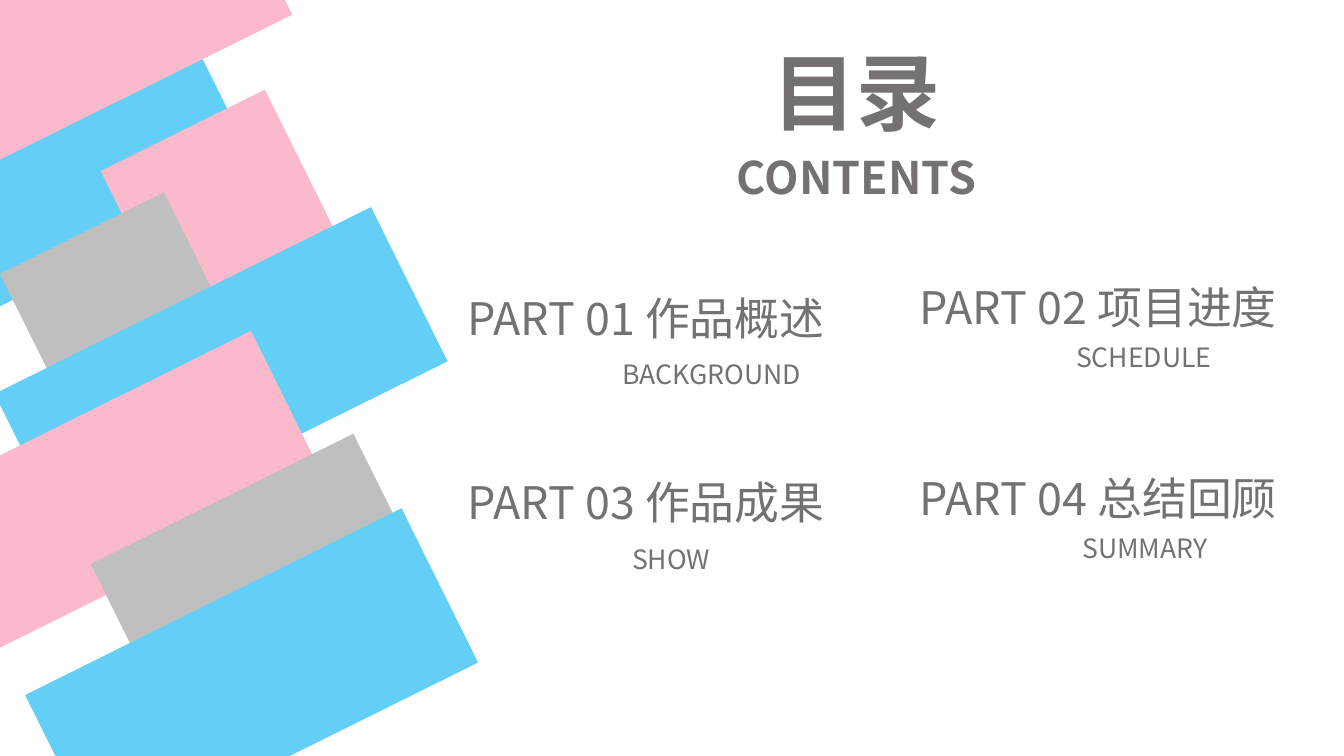
from pptx import Presentation
from pptx.dml.color import RGBColor
from pptx.enum import shapes, text
from pptx.util import Cm, Pt

HUES = {"blue": "63CFF6", "pink": "FBB9CC", "gray": "BFBFBF", "ink": "767171"}
FONT = "Noto Sans CJK SC"
BARS = [
    (-1.3, -0.43, 10.59, "blue"),
    (3.4, 2.92, 4.62, "pink"),
    (0.86, 5.51, 4.62, "gray"),
    (3.4, 4.22, 10.59, "blue"),
    (0.58, 7.47, 10.13, "pink"),
    (4.39, 10.82, 7.39, "gray"),
    (4.17, 11.81, 10.59, "blue"),
    (-0.23, -4.34, 9.96, "pink"),
]
PARTS = [
    (11.28, 7.19, "PART 01 作品概述", "BACKGROUND", 4.16, 1),
    (22.68, 7.19, "PART 02 项目进度", "SCHEDULE", 4.19, 0.8),
    (11.28, 11.84, "PART 03 作品成果", "SHOW", 4.4, 1),
    (22.68, 11.99, "PART 04 总结回顾", "SUMMARY", 4.35, 0.8),
]


def write(para, words, size, bold=False, space=1, indent=None):
    """Fill a paragraph, centred or indented from the left."""
    para.line_spacing = space
    para.space_before = Pt(10)
    para.alignment = text.PP_ALIGN.CENTER
    if indent is not None:
        para.alignment = text.PP_ALIGN.LEFT
        para._p.get_or_add_pPr().set("marL", str(Cm(indent)))
    run = para.add_run()
    run.text = words
    font = run.font
    font.size, font.bold, font.name = Pt(size), bold, FONT
    font.color.rgb = RGBColor.from_string(HUES["ink"])
    props = run._r.get_or_add_rPr()
    east = props.makeelement(
        "{http://schemas.openxmlformats.org/drawingml/2006/main}ea",
        {"typeface": FONT})
    props.append(east)


def setup(frame):
    """Make a text frame wrap from the top at a fixed size."""
    frame.word_wrap = True
    frame.auto_size = text.MSO_AUTO_SIZE.NONE
    frame.vertical_anchor = text.MSO_ANCHOR.TOP


def draw_bars(slide, wide=4.34, turn=63.6):
    """Draw the slanted colour bars on the left."""
    for left, top, tall, hue in BARS:
        bar = slide.shapes.add_shape(
            shapes.MSO_SHAPE.RECTANGLE, Cm(left), Cm(top), Cm(wide), Cm(tall))
        bar.rotation = turn
        bar.shadow.inherit = False
        bar.fill.solid()
        bar.fill.fore_color.rgb = RGBColor.from_string(HUES[hue])
        bar.line.fill.background()


def draw_title(slide, left, top, wide, tall):
    """Place the two-line heading in the title placeholder."""
    title = slide.shapes.title
    title.left, title.top = Cm(left), Cm(top)
    title.width, title.height = Cm(wide), Cm(tall)
    frame = title.text_frame
    setup(frame)
    write(frame.paragraphs[0], "目录", 60, bold=True, space=0.9)
    write(frame.add_paragraph(), "CONTENTS", 32, bold=True, space=0.9)


def draw_part(slide, left, top, name, label, indent, space):
    """Place one contents entry with its label below."""
    box = slide.shapes.add_textbox(Cm(left), Cm(top), Cm(10), Cm(3))
    frame = box.text_frame
    setup(frame)
    write(frame.paragraphs[0], name, 32, space=space)
    write(frame.add_paragraph(), label, 19, space=space, indent=indent)


def main():
    """Build and save the contents slide."""
    deck = Presentation()
    deck.slide_width, deck.slide_height = Cm(33.87), Cm(19.05)
    slide = deck.slides.add_slide(deck.slide_layouts[5])
    draw_bars(slide)
    draw_title(slide, 8.89, 1.17, 25.4, 4.6)
    for part in PARTS:
        draw_part(slide, *part)
    deck.save("out.pptx")


if __name__ == "__main__":
    main()
